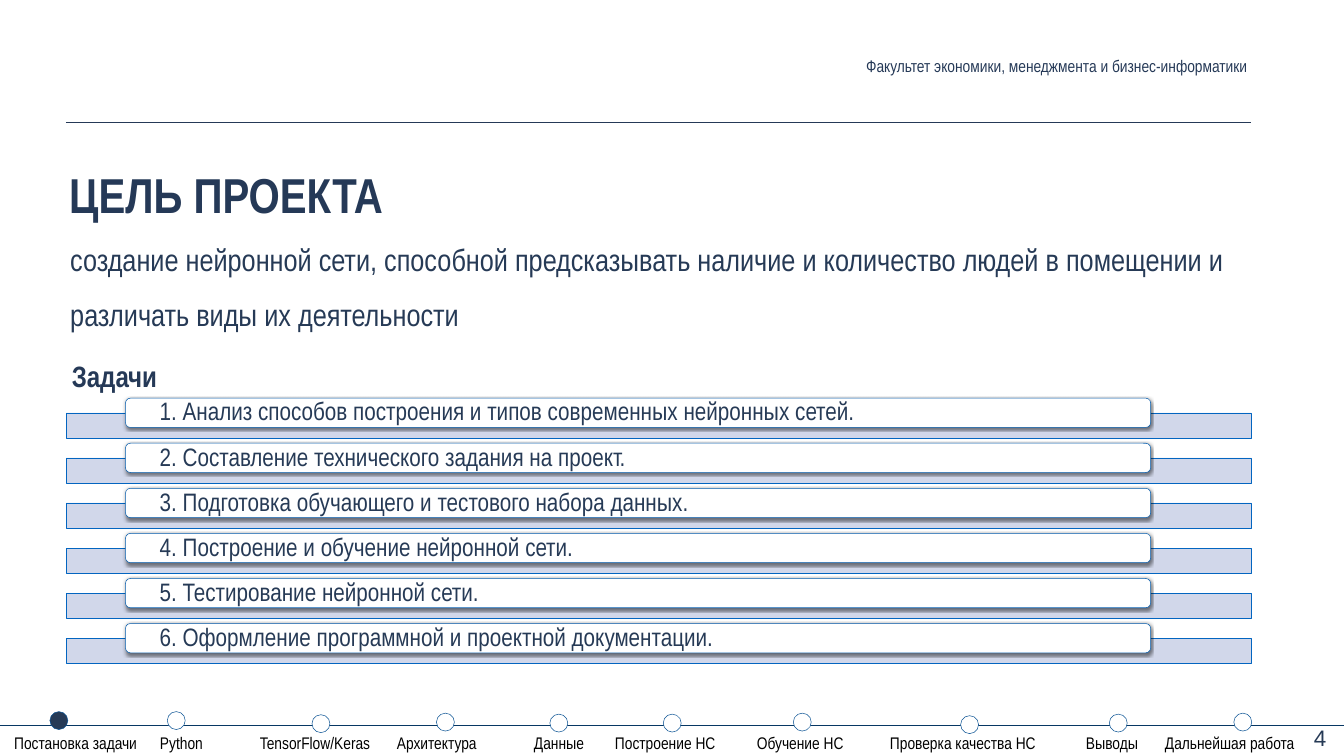
from lxml.etree import SubElement
from pptx import Presentation
from pptx.dml.color import RGBColor
from pptx.enum.shapes import MSO_CONNECTOR, MSO_SHAPE
from pptx.enum.text import MSO_ANCHOR, MSO_AUTO_SIZE, PP_ALIGN
from pptx.oxml.ns import qn
from pptx.util import Pt

NAVY = RGBColor(0x25, 0x39, 0x57)
SLATE = RGBColor(0x26, 0x3A, 0x56)
BLACK = RGBColor(0, 0, 0)
WHITE = RGBColor(0xFF, 0xFF, 0xFF)
BAR_FILL = RGBColor(0xCC, 0xD3, 0xE8)
BAR_LINE = RGBColor(0x03, 0x65, 0xC0)
TASK_LINE = RGBColor(0x03, 0x5C, 0xAE)
TIMELINE = RGBColor(0x07, 0x37, 0x63)
MARKER_LINE = RGBColor(0x0B, 0x53, 0x94)

FACULTY = "Факультет экономики, менеджмента и бизнес-информатики"
TITLE = "ЦЕЛЬ ПРОЕКТА"
GOAL = ("создание нейронной сети, способной предсказывать наличие и количество "
        "людей в помещении и различать виды их деятельности")
TASKS_HEADING = "Задачи"
TASKS = [
    "1. Анализ способов построения и типов современных нейронных сетей.",
    "2. Составление технического задания на проект.",
    "3. Подготовка обучающего и тестового набора данных.",
    "4. Построение и обучение нейронной сети.",
    "5. Тестирование нейронной сети.",
    "6. Оформление программной и проектной документации.",
]
# label, label left, marker left, marker top
STEPS = [
    ("Постановка задачи", 20, 71.3, 1016.6),
    ("Python", 228.6, 239, 1016.6),
    ("TensorFlow/Keras", 371.4, 445.7, 1021),
    ("Архитектура", 567.1, 623.5, 1018.8),
    ("Данные", 762.9, 785.5, 1020.2),
    ("Построение НС", 878.6, 947.5, 1020.2),
    ("Обучение НС", 1081.4, 1133.3, 1018.8),
    ("Проверка качества НС", 1271.4, 1372.3, 1022.4),
    ("Выводы", 1551.4, 1584.7, 1020.2),
    ("Дальнейшая работа", 1664.3, 1762.6, 1018.8),
]
PAGE = "4"

LEFT, WIDTH = 94.3, 1693.4
TASK_TOP, TASK_PITCH = 568.8, 64.4
MARKER = 25.6
STEPS_LEFT, STEPS_INSET = 13, 7.2


def write(sp, text, size=24, color=NAVY, font="Arial Narrow", bold=False,
          align=PP_ALIGN.LEFT, anchor=MSO_ANCHOR.TOP, spacing=None,
          inset=(6, 6), wrap=True):
    """Fill a shape with one formatted paragraph; inset is (sides, top and bottom)."""
    tf = sp.text_frame
    tf.auto_size = MSO_AUTO_SIZE.NONE
    tf.word_wrap = wrap
    tf.vertical_anchor = anchor
    tf.margin_left = tf.margin_right = Pt(inset[0])
    tf.margin_top = tf.margin_bottom = Pt(inset[1])
    p = tf.paragraphs[0]
    p.alignment = align
    if spacing:
        p.line_spacing = spacing
    r = p.add_run()
    r.text = text
    r.font.name, r.font.size, r.font.bold = font, Pt(size), bold
    r.font.color.rgb = color
    return p


def add_text(s, box, text, **fmt):
    return write(s.shapes.add_textbox(*map(Pt, box)), text, **fmt)


def add_shape(s, kind, box, fill, line):
    sp = s.shapes.add_shape(kind, *map(Pt, box))
    sp.shadow.inherit = False
    sp.fill.solid()
    sp.fill.fore_color.rgb = fill
    sp.line.color.rgb = line
    sp.line.width = Pt(0.75)
    return sp


def add_rule(s, x1, x2, y, color, width):
    c = s.shapes.add_connector(MSO_CONNECTOR.STRAIGHT, Pt(x1), Pt(y), Pt(x2), Pt(y))
    c.line.color.rgb = color
    c.line.width = Pt(width)
    SubElement(c._element.spPr, qn("a:effectLst"))


def add_shadow(sp):
    effects = sp._element.spPr.find(qn("a:effectLst"))
    shadow = SubElement(effects, qn("a:outerShdw"), blurRad=str(Pt(4)),
                        dist=str(Pt(2)), dir="5400000", rotWithShape="0")
    color = SubElement(shadow, qn("a:srgbClr"), val="000000")
    SubElement(color, qn("a:alpha"), val="50000")


def add_task(s, top, text):
    bar = add_shape(s, MSO_SHAPE.RECTANGLE, (LEFT, top + 20.9, WIDTH, 36),
                    BAR_FILL, BAR_LINE)
    color = bar._element.spPr.find(qn("a:solidFill"))[0]
    SubElement(color, qn("a:alpha"), val="90000")
    box = add_shape(s, MSO_SHAPE.ROUNDED_RECTANGLE, (179.3, top, 1464.5, 41.8),
                    WHITE, TASK_LINE)
    add_shadow(box)
    write(box, text, size=36, color=SLATE, anchor=MSO_ANCHOR.MIDDLE,
          spacing=0.9, inset=(46.8, 0))


def add_steps(s):
    add_rule(s, 0, 1920, 1035.4, TIMELINE, 0.75)
    p = add_text(s, (STEPS_LEFT, 1039, 1894.3, 43.9), "\t".join(step[0] for step in STEPS),
                 color=BLACK, inset=(STEPS_INSET, 7.2))
    tabs = SubElement(p._p.get_or_add_pPr(), qn("a:tabLst"))
    for i, (_, label_x, x, y) in enumerate(STEPS):
        if i:
            SubElement(tabs, qn("a:tab"), algn="l",
                       pos=str(Pt(label_x - STEPS_LEFT - STEPS_INSET)))
        add_shape(s, MSO_SHAPE.OVAL, (x, y, MARKER, MARKER),
                  WHITE if i else SLATE, MARKER_LINE)


def main():
    prs = Presentation()
    prs.slide_width, prs.slide_height = Pt(1920), Pt(1080)
    s = prs.slides.add_slide(prs.slide_layouts[5])

    add_rule(s, LEFT, LEFT + WIDTH, 174.2, NAVY, 1)
    title = s.shapes.title
    title.left, title.top, title.width, title.height = map(Pt, (92.9, 229.7, 1265.8, 90.7))
    write(title, TITLE, size=70, bold=True)
    for i, task in enumerate(TASKS):
        add_task(s, TASK_TOP + i * TASK_PITCH, task)
    add_text(s, (96.5, 499.7, 1265.8, 67.7), TASKS_HEADING, size=42, bold=True,
             anchor=MSO_ANCHOR.BOTTOM)
    add_text(s, (LEFT, 311, WIDTH, 116.6), GOAL, size=44, color=SLATE, spacing=1.5)
    add_text(s, (892.8, 74.2, 895, 40.3), FACULTY, align=PP_ALIGN.RIGHT,
             anchor=MSO_ANCHOR.MIDDLE)
    add_steps(s)
    add_text(s, (1869.8, 1031, 32.4, 46.1), PAGE, size=32, color=SLATE, font="Arial",
             align=PP_ALIGN.CENTER, inset=(7.2, 3.6), wrap=False)
    prs.save("out.pptx")


if __name__ == "__main__":
    main()
